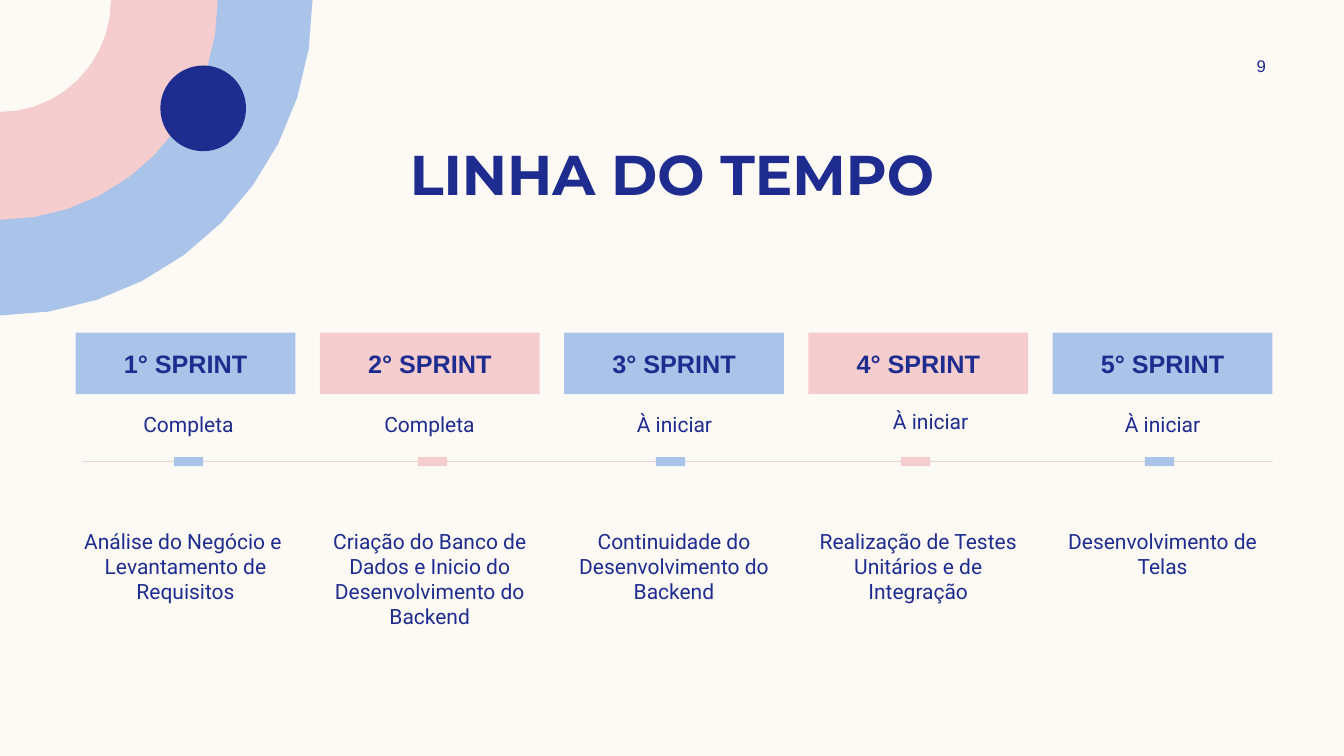
from math import cos, pi, sin

from pptx import Presentation
from pptx.dml.color import RGBColor
from pptx.enum.shapes import MSO_CONNECTOR, MSO_SHAPE as SHAPE
from pptx.enum.text import MSO_ANCHOR as ANCHOR, MSO_AUTO_SIZE, PP_ALIGN
from pptx.oxml import parse_xml
from pptx.oxml.ns import nsdecls
from pptx.util import Inches, Pt

CREAM = RGBColor(0xFD, 0xFA, 0xF6)
BLUE = RGBColor(0xAA, 0xC3, 0xE8)
PINK = RGBColor(0xF5, 0xCD, 0xCE)
NAVY = RGBColor(0x1F, 0x2C, 0x8F)
AXIS_PINK = RGBColor(0xF2, 0xD1, 0xD1)

TITLE = "LINHA DO TEMPO"
PAGE_NUMBER = "9"
# Name, status, status (left, top), marker centre, description lines, description height
SPRINTS = [
    ("1° SPRINT", "Completa", (1.08, 4.03), 1.87,
     ["Análise do Negócio e ", "Levantamento de Requisitos"], 0.87),
    ("2° SPRINT", "Completa", (3.47, 4.03), 4.29,
     ["Criação do Banco de Dados e Inicio do Desenvolvimento do Backend"], 1.1),
    ("3° SPRINT", "À iniciar", (5.9, 4.03), 6.65,
     ["Continuidade do Desenvolvimento do Backend"], 0.87),
    ("4° SPRINT", "À iniciar", (8.44, 4), 9.08,
     ["Realização de Testes Unitários e de Integração"], 0.87),
    ("5° SPRINT", "À iniciar", (10.74, 4.03), 11.5,
     ["Desenvolvimento de Telas"], 1.22),
]
# Horizontal radius, vertical radius, colour; all centred on the slide's top left corner
ARCS = [(3.1, 3.13, BLUE), (2.16, 2.18, PINK), (1.1, 1.11, CREAM)]
ARC_STEPS = 10

CARD_LEFT, CARD_STEP, CARD_WIDTH = 0.75, 2.4225, 2.18
CARD_TOP, CARD_HEIGHT = 3.3, 0.61
DESCRIPTION_TOP = 5.19
STATUS_WIDTH, STATUS_HEIGHT = 1.58, 0.43
AXIS_LEFT, AXIS_RIGHT, AXIS_Y = 0.81, 12.63, 4.58
MARKER_WIDTH, MARKER_HEIGHT = 0.29, 0.09


def paint(shape, color):
    """Give a shape a flat fill without outline or shadow."""
    shape.shadow.inherit = False
    shape.fill.solid()
    shape.fill.fore_color.rgb = color
    shape.line.fill.background()
    return shape


def add_flat(slide, kind, box, color):
    """Add a flat preset shape."""
    return paint(slide.shapes.add_shape(kind, *map(Inches, box)), color)


def add_quarter(slide, radius_x, radius_y, color):
    """Add a quarter disc in the top left corner."""
    angles = [pi / 2 * step / ARC_STEPS for step in range(ARC_STEPS + 1)]
    rim = [(Inches(radius_x * cos(a)), Inches(radius_y * sin(a))) for a in angles]
    outline = slide.shapes.build_freeform(0, 0)
    outline.add_line_segments(rim, close=True)
    paint(outline.convert_to_shape(), color)


def write(shape, lines, size, font, bold=False, anchor=ANCHOR.TOP, margins=(0, 0.05)):
    """Write centred navy lines into one paragraph of a shape."""
    frame = shape.text_frame
    frame.word_wrap = True
    frame.auto_size = MSO_AUTO_SIZE.NONE
    frame.vertical_anchor = anchor
    frame.margin_left = frame.margin_right = Inches(margins[0])
    frame.margin_top = frame.margin_bottom = Inches(margins[1])
    paragraph = frame.paragraphs[0]
    paragraph.alignment = PP_ALIGN.CENTER
    for index, line in enumerate(lines):
        if index:
            paragraph.add_line_break()
        run = paragraph.add_run()
        run.text = line
        run.font.size = Pt(size)
        run.font.name = font
        run.font.bold = bold
        run.font.color.rgb = NAVY


def add_text(slide, box, lines, size, font, **style):
    """Add a text box."""
    write(slide.shapes.add_textbox(*map(Inches, box)), lines, size, font, **style)


def add_axis(slide):
    """Add the thin line of the timeline."""
    axis = slide.shapes.add_connector(
        MSO_CONNECTOR.STRAIGHT, Inches(AXIS_LEFT), Inches(AXIS_Y),
        Inches(AXIS_RIGHT), Inches(AXIS_Y))
    axis.line.color.rgb = AXIS_PINK
    axis.line.width = Pt(1)
    axis._element.spPr.append(parse_xml(f"<a:effectLst {nsdecls('a')}/>"))


def add_sprint(slide, index, sprint):
    """Add one column: card, status, marker and description."""
    name, status, status_at, marker_x, description, description_height = sprint
    color = PINK if index % 2 else BLUE
    left = CARD_LEFT + index * CARD_STEP
    card = add_flat(slide, SHAPE.RECTANGLE, (left, CARD_TOP, CARD_WIDTH, CARD_HEIGHT), color)
    write(card, [name], 18, "Arial", bold=True, anchor=ANCHOR.MIDDLE, margins=(0, 0))
    # The marker stands upright and is turned onto the axis
    marker = add_flat(slide, SHAPE.RECTANGLE,
                      (marker_x - MARKER_HEIGHT / 2, AXIS_Y - MARKER_WIDTH / 2,
                       MARKER_HEIGHT, MARKER_WIDTH), color)
    marker.rotation = 270
    add_text(slide, (left, DESCRIPTION_TOP, CARD_WIDTH, description_height),
             description, 15, "Roboto")
    add_text(slide, (*status_at, STATUS_WIDTH, STATUS_HEIGHT), [status], 15, "Roboto")


deck = Presentation()
deck.slide_width, deck.slide_height = Inches(13.33), Inches(7.5)
slide = deck.slides.add_slide(deck.slide_layouts[5])
slide.background.fill.solid()
slide.background.fill.fore_color.rgb = CREAM

for arc in ARCS:
    add_quarter(slide, *arc)
add_flat(slide, SHAPE.OVAL, (1.59, 0.65, 0.85, 0.85), NAVY)
add_axis(slide)

title = slide.shapes.title
title.left, title.top, title.width, title.height = map(Inches, (0.83, 1.33, 11.67, 0.84))
write(title, [TITLE], 40, "Montserrat", bold=True, margins=(0.1, 0.05))
add_text(slide, (11.97, 0.5, 1.08, 0.3), [PAGE_NUMBER], 12, "Arial",
         anchor=ANCHOR.MIDDLE, margins=(0.1, 0.05))

for index, sprint in enumerate(SPRINTS):
    add_sprint(slide, index, sprint)

deck.save("out.pptx")
